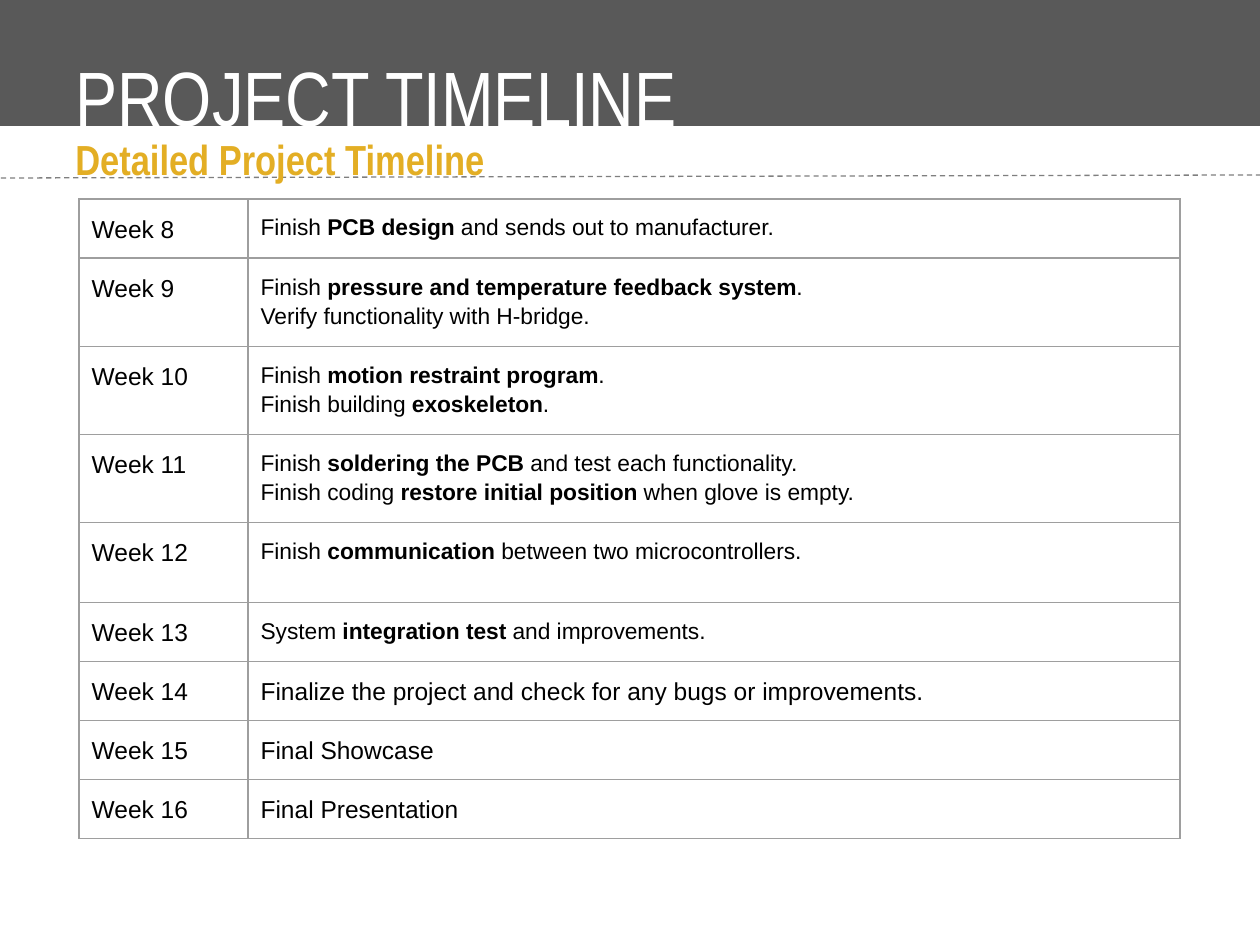
from copy import deepcopy

from lxml import etree
from pptx import Presentation
from pptx.dml.color import RGBColor
from pptx.enum.dml import MSO_LINE
from pptx.enum.shapes import MSO_CONNECTOR, MSO_SHAPE
from pptx.enum.text import MSO_ANCHOR
from pptx.oxml.ns import qn
from pptx.util import Emu, Inches, Pt

RECTANGLE = MSO_SHAPE.RECTANGLE
STRAIGHT = MSO_CONNECTOR.STRAIGHT
DASH = MSO_LINE.DASH
TOP = MSO_ANCHOR.TOP
PX_PER_INCH = 126
CELL_MARGIN = Inches(0.1)

# Week, row height, text size, task; ** switches bold on and off.
WEEKS = [
    ("Week 8", 57, 13, "Finish **PCB design** and sends out to manufacturer."),
    ("Week 9", 83, 13, "Finish **pressure and temperature feedback system**. \n"
                       "Verify functionality with H-bridge."),
    ("Week 10", 84, 13, "Finish **motion restraint program**. \n"
                        "Finish building** exoskeleton**."),
    ("Week 11", 83, 13, "Finish **soldering the PCB** and test each functionality. \n"
                        "Finish coding **restore initial position** when glove is empty."),
    ("Week 12", 80, 13, "Finish **communication** between two microcontrollers."),
    ("Week 13", 58, 13, "System **integration test** and improvements."),
    ("Week 14", 57, 14, "Finalize the project and check for any bugs or improvements."),
    ("Week 15", 56, 14, "Final Showcase"),
    ("Week 16", 57, 14, "Final Presentation"),
]


def px(length):
    return Emu(round(length * 914400 / PX_PER_INCH))


def color(value):
    return RGBColor.from_string(value)


class SlideBuilder:
    body_font = "Arial"
    heading_font = "Arial Narrow"
    text_color = "000000"
    border_color = "9E9E9E"

    def __init__(self, slide):
        self.slide = slide

    def format_run(self, run, name, size, fill, bold=False):
        run.font.name = name
        run.font.size = Pt(size)
        run.font.bold = bold
        run.font.color.rgb = color(fill)

    def band(self, left, top, width, height, fill):
        shape = self.slide.shapes.add_shape(
            RECTANGLE, px(left), px(top), px(width), px(height))
        shape.shadow.inherit = False
        shape.fill.solid()
        shape.fill.fore_color.rgb = color(fill)
        shape.line.fill.background()

    def dashed_line(self, start, end, stroke):
        line = self.slide.shapes.add_connector(
            STRAIGHT, *(px(value) for value in start + end))
        line.line.color.rgb = color(stroke)
        line.line.width = Pt(0.75)
        line.line.dash_style = DASH
        etree.SubElement(line._element.spPr, qn("a:effectLst"))

    def heading(self, left, top, width, height, text, size, fill, bold=False):
        box = self.slide.shapes.add_textbox(px(left), px(top), px(width), px(height))
        frame = box.text_frame
        frame.word_wrap = True
        frame.vertical_anchor = TOP
        frame.text = text
        self.format_run(frame.paragraphs[0].runs[0], self.heading_font, size, fill, bold)

    def border(self, cell):
        properties = cell._tc.get_or_add_tcPr()
        for position, side in enumerate(("a:lnL", "a:lnR", "a:lnT", "a:lnB")):
            line = etree.Element(qn(side), w=str(Pt(0.75)))
            fill = etree.SubElement(line, qn("a:solidFill"))
            etree.SubElement(fill, qn("a:srgbClr"), val=self.border_color)
            properties.insert(position, line)

    def cell(self, cell, text, size):
        cell.fill.background()
        cell.margin_top = cell.margin_bottom = CELL_MARGIN
        cell.margin_left = cell.margin_right = CELL_MARGIN
        cell.vertical_anchor = TOP
        self.border(cell)
        paragraph = cell.text_frame.paragraphs[0]
        paragraph.line_spacing = 1.15
        for number, line in enumerate(text.split("\n")):
            if number:
                paragraph.add_line_break()
            for index, part in enumerate(line.split("**")):
                run = paragraph.add_run()
                run.text = part
                self.format_run(run, self.body_font, size, self.text_color, index % 2 == 1)
        # Line breaks take the text size too, so they do not stretch the line.
        for line_break in paragraph._p.findall(qn("a:br")):
            line_break.append(deepcopy(paragraph.runs[0]._r.rPr))

    def timeline(self, left, top, column_widths, weeks):
        height = sum(week[1] for week in weeks)
        table = self.slide.shapes.add_table(
            len(weeks), len(column_widths), px(left), px(top),
            px(sum(column_widths)), px(height)).table
        table.first_row = table.horz_banding = False
        for column, width in zip(table.columns, column_widths):
            column.width = px(width)
        for index, (week, row_height, size, task) in enumerate(weeks):
            table.rows[index].height = px(row_height)
            self.cell(table.cell(index, 0), week, 14)
            self.cell(table.cell(index, 1), task, size)


def main():
    presentation = Presentation()
    presentation.slide_width = px(1260)
    presentation.slide_height = px(945)
    builder = SlideBuilder(presentation.slides.add_slide(presentation.slide_layouts[6]))
    builder.band(0, 0, 1260, 126, "595959")
    builder.dashed_line((1, 178), (1260, 175), "7F7F7F")
    builder.heading(63, 43, 1135, 103, "PROJECT TIMELINE", 44, "FFFFFF")
    builder.heading(63, 127, 1134, 60, "Detailed Project Timeline", 24, "E3AE24", bold=True)
    builder.timeline(79, 199, (169, 932), WEEKS)
    presentation.save("out.pptx")


if __name__ == "__main__":
    main()
